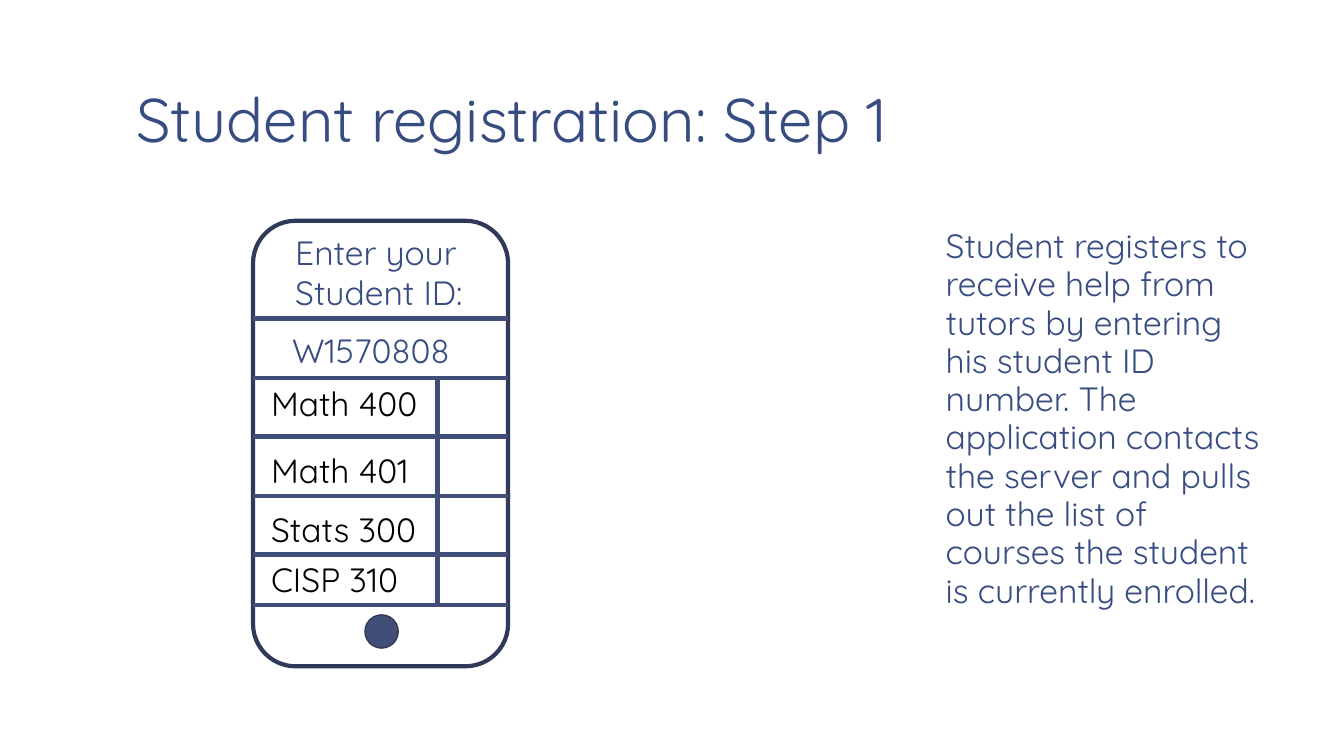
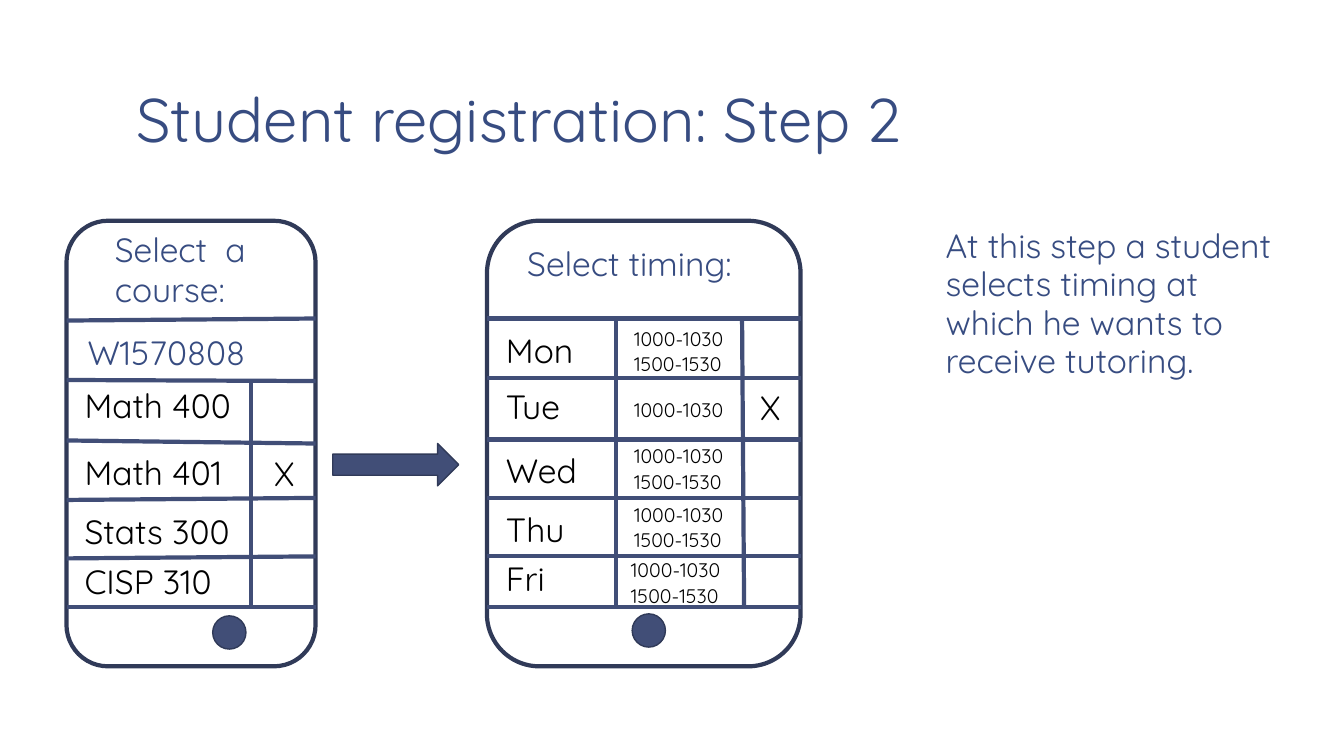
from dataclasses import dataclass

from pptx import Presentation
from pptx.dml.color import RGBColor
from pptx.enum.shapes import MSO_CONNECTOR, MSO_SHAPE
from pptx.enum.text import MSO_ANCHOR, MSO_AUTO_SIZE
from pptx.oxml.ns import qn
from pptx.util import Inches, Pt
from lxml.etree import SubElement

FONT = "Quicksand"
HEADING = RGBColor(0x37, 0x4C, 0x81)
RULE = RGBColor(0x41, 0x4E, 0x77)
OUTLINE = RGBColor(0x30, 0x3A, 0x58)
BLACK = RGBColor(0x00, 0x00, 0x00)

COURSES = ["Math 400", "Math 401", "Stats 300", "CISP 310"]
COURSE_OFFSETS = [0, 0.66, 1.25, 1.75]
STUDENT_ID = "W1570808"
EARLY, LATE = "1000-1030", "1500-1530"


@dataclass
class Phone:
    """Box of a phone, in inches; parts are placed relative to it."""
    left: float
    width: float
    top: float = 2.19
    height: float = 4.42


def add_text(slide, left, top, width, height, lines, size=24, color=BLACK, wrap=True):
    """Add a text box with one paragraph per line."""
    box = slide.shapes.add_textbox(Inches(left), Inches(top), Inches(width), Inches(height))
    frame = box.text_frame
    frame.word_wrap = wrap
    frame.auto_size = MSO_AUTO_SIZE.SHAPE_TO_FIT_TEXT
    frame.text = "\n".join(lines)
    for paragraph in frame.paragraphs:
        paragraph.font.name = FONT
        paragraph.font.size = Pt(size)
        paragraph.font.color.rgb = color
    return frame


def add_phone_text(slide, phone, left, top, width, *lines, **style):
    """Add text whose position is relative to the phone."""
    height = 0.34 if style.get("size") == 14 else 0.1 + 0.4 * len(lines)
    add_text(slide, phone.left + left, phone.top + top, width, height, lines, **style)


def add_shape(slide, kind, left, top, width, height, fill=None, line_width=1):
    """Add an outlined preset shape, filled when a colour is given."""
    shape = slide.shapes.add_shape(
        kind, Inches(left), Inches(top), Inches(width), Inches(height))
    shape.shadow.inherit = False
    if fill is None:
        shape.fill.background()
    else:
        shape.fill.solid()
        shape.fill.fore_color.rgb = fill
    shape.line.color.rgb = OUTLINE
    shape.line.width = Pt(line_width)


def add_rule(slide, phone, start, end):
    """Draw a line between two points relative to the phone."""
    line = slide.shapes.add_connector(
        MSO_CONNECTOR.STRAIGHT,
        Inches(phone.left + start[0]), Inches(phone.top + start[1]),
        Inches(phone.left + end[0]), Inches(phone.top + end[1]))
    line.line.color.rgb = RULE
    line.line.width = Pt(3)
    SubElement(line._element.spPr, qn("a:effectLst"))


def add_phone(slide, phone, rules, home):
    """Draw the phone outline, its row rules and its home button."""
    add_shape(slide, MSO_SHAPE.ROUNDED_RECTANGLE,
              phone.left, phone.top, phone.width, phone.height, line_width=3)
    for left_end, right_end in rules:
        add_rule(slide, phone, (0, left_end), (phone.width, right_end))
    add_shape(slide, MSO_SHAPE.OVAL, phone.left + home[0], phone.top + home[1],
              0.33, 0.33, fill=RULE)


def add_course_phone(slide, phone, rules, home, id_left):
    """Draw a phone showing the student ID and the list of courses."""
    add_phone(slide, phone, rules, home)
    list_top, list_bottom = rules[1][0], rules[-1][0]
    add_rule(slide, phone, (1.83, list_top), (1.83, list_bottom))
    add_phone_text(slide, phone, id_left, list_top - 0.53, 1.83, STUDENT_ID,
                   color=HEADING, wrap=False)
    for course, offset in zip(COURSES, COURSE_OFFSETS):
        add_phone_text(slide, phone, 0.08, list_top + offset, 1.75, course)


def add_timing_phone(slide, phone):
    """Draw a phone showing the tutoring times of each weekday."""
    rules = [(top, top) for top in (0.97, 1.56, 2.17, 2.75, 3.33, 3.83)]
    add_phone(slide, phone, rules, (1.44, 3.9))
    add_rule(slide, phone, (1.28, 0.97), (1.28, 3.81))
    add_rule(slide, phone, (2.53, 0.97), (2.55, 3.81))
    add_phone_text(slide, phone, 0.3, 0.17, 2.48, "Select timing:",
                   color=HEADING, wrap=False)
    days = [
        ("Mon", 1.03, 1.36, 1.0, [EARLY, LATE]),
        ("Tue", 1.59, 1.36, 1.71, [EARLY]),
        ("Wed", 2.22, 1.36, 2.17, [EARLY, LATE]),
        ("Thu", 2.81, 1.36, 2.75, [EARLY, LATE]),
        ("Fri", 3.3, 1.33, 3.3, [EARLY, LATE]),
    ]
    for day, day_top, slot_left, slot_top, slots in days:
        add_phone_text(slide, phone, 0.09, day_top, 1.02, day)
        for index, slot in enumerate(slots):
            add_phone_text(slide, phone, slot_left, slot_top + 0.25 * index, 1.14, slot,
                           size=14, wrap=False)
    add_phone_text(slide, phone, 2.61, 1.6, 0.41, "X", wrap=False)


def add_step_slide(presentation, step, description):
    """Add a slide with the step title and the description on the right."""
    slide = presentation.slides.add_slide(presentation.slide_layouts[6])
    title = add_text(slide, 1.22, 0.08, 11.11, 1.53,
                     [f"Student registration: Step {step}"], size=44, color=HEADING)
    title.vertical_anchor = MSO_ANCHOR.BOTTOM
    body = add_text(slide, 9.25, 2.19, 3.5, 5.07, [description], color=HEADING)
    for frame, spacing in ((title, 0.85), (body, 0.95)):
        frame.auto_size = MSO_AUTO_SIZE.NONE
        frame.margin_left = frame.margin_right = Inches(0.13)
        frame.margin_top = frame.margin_bottom = Inches(0.07)
        frame.paragraphs[0].line_spacing = spacing
    return slide


def build_entry_slide(presentation):
    """Build step 1, entering the student ID."""
    slide = add_step_slide(
        presentation, 1,
        "Student registers to receive help from tutors by entering his student ID number. "
        "The application contacts the server and pulls out the list of courses the student "
        "is currently enrolled.")
    phone = Phone(2.51, 2.53)
    rules = [(top, top) for top in (0.97, 1.56, 2.14, 2.73, 3.31, 3.81)]
    add_course_phone(slide, phone, rules, (1.11, 3.91), 0.29)
    add_phone_text(slide, phone, 0.32, 0.06, 1.97, "Enter your", "Student ID:",
                   color=HEADING, wrap=False)


def build_selection_slide(presentation):
    """Build step 2, selecting a course and a time."""
    slide = add_step_slide(
        presentation, 2,
        "At this step a student selects timing at which he wants to receive tutoring.")
    phone = Phone(0.66, 2.47)
    rules = [(0.99, 0.97), (1.58, 1.59), (2.18, 2.21), (2.77, 2.75), (3.35, 3.33), (3.83, 3.83)]
    add_course_phone(slide, phone, rules, (1.45, 3.92), 0.11)
    add_phone_text(slide, phone, 0.38, 0.03, 1.71, "Select  a", "course:",
                   color=HEADING, wrap=False)
    add_phone_text(slide, phone, 1.96, 2.25, 0.41, "X", wrap=False)
    add_timing_phone(slide, Phone(4.83, 3.11))
    add_shape(slide, MSO_SHAPE.RIGHT_ARROW, 3.3, 4.4, 1.25, 0.42, fill=RULE)


def main():
    """Build and save the presentation."""
    presentation = Presentation()
    presentation.slide_width = Inches(13.33)
    presentation.slide_height = Inches(7.5)
    build_entry_slide(presentation)
    build_selection_slide(presentation)
    presentation.save("out.pptx")


if __name__ == "__main__":
    main()
